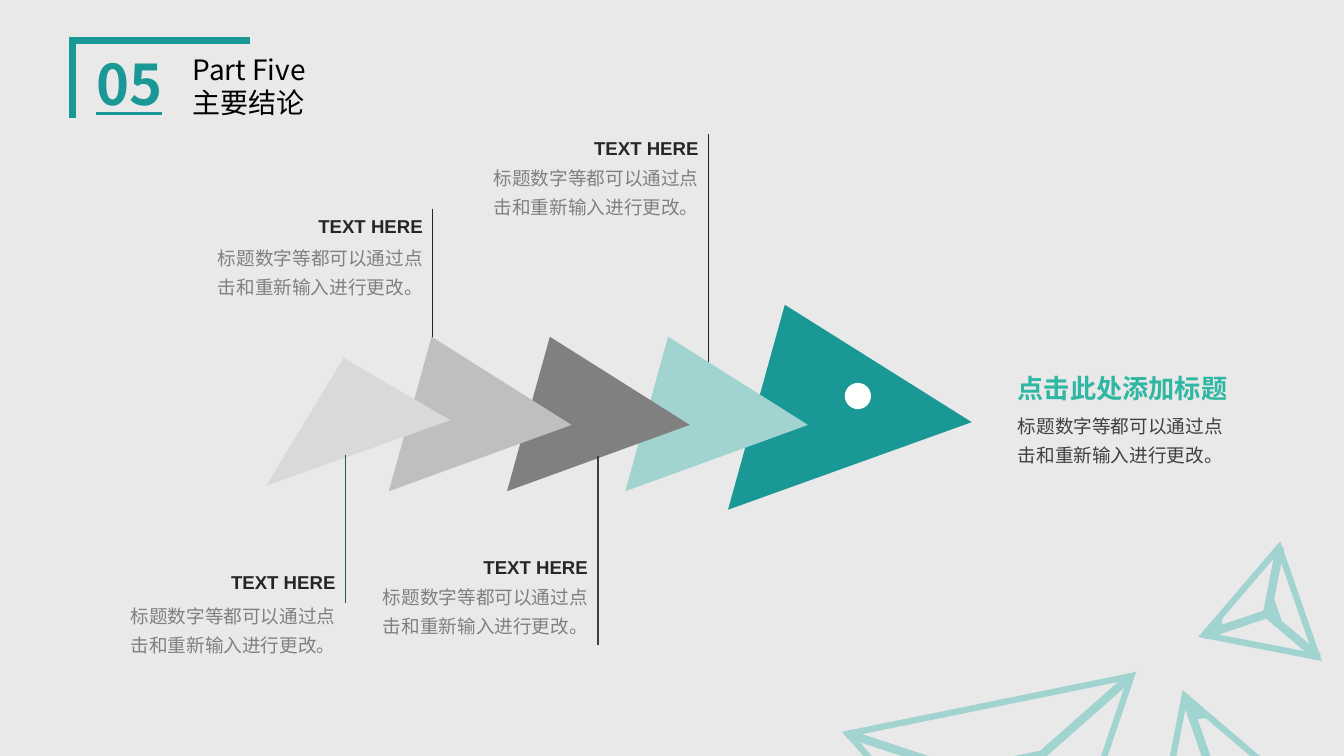
from lxml import etree
from pptx import Presentation, util as u
from pptx.dml import color
from pptx.enum import shapes, text
from pptx.oxml import ns

TEAL, PALE, BACKDROP = "1A9895", "A1D3D0", "E9E9E9"
SANS, LATIN = "Noto Sans CJK SC", "Arial"
BODY = "标题数字等都可以通过点击和重新输入进行更改。"
LEFT, RIGHT = text.PP_ALIGN.LEFT, text.PP_ALIGN.RIGHT


def rgb(value):
    return color.RGBColor.from_string(value)


class Board:
    """Draws styled elements on the current slide, measured in centimetres."""

    def __init__(self, presentation):
        self.slide = presentation.slides.add_slide(presentation.slide_layouts[5])
        self.slide.background.fill.solid()
        self.slide.background.fill.fore_color.rgb = rgb(BACKDROP)

    def paint(self, shape, fill, line, width):
        shape.shadow.inherit = False
        if fill:
            shape.fill.solid()
            shape.fill.fore_color.rgb = rgb(fill)
        else:
            shape.fill.background()
        if line:
            shape.line.color.rgb = rgb(line)
            shape.line.width = u.Pt(width)
            outline = shape._element.spPr.find(ns.qn("a:ln"))
            etree.SubElement(outline, ns.qn("a:miter"), lim="800000")
        else:
            shape.line.fill.background()

    def preset(self, kind, box, fill, line=None, width=1, rotation=0, tip=None):
        shape = self.slide.shapes.add_shape(kind, *map(u.Cm, box))
        shape.rotation = rotation
        if tip is not None:
            shape.adjustments[0] = tip
        self.paint(shape, fill, line, width)

    def triangle(self, box, rotation, fill, **style):
        self.preset(shapes.MSO_SHAPE.ISOSCELES_TRIANGLE, box, fill, rotation=rotation, **style)

    def outline(self, points, fill=None, line=None, width=1):
        corners = [(u.Cm(x), u.Cm(y)) for x, y in points]
        builder = self.slide.shapes.build_freeform(*corners[0])
        builder.add_line_segments(corners[1:], close=bool(fill))
        self.paint(builder.convert_to_shape(), fill, line, width)

    def line(self, start, end, colour, width):
        connector = self.slide.shapes.add_connector(
            shapes.MSO_CONNECTOR.STRAIGHT, *map(u.Cm, (*start, *end)))
        connector.line.color.rgb = rgb(colour)
        connector.line.width = u.Pt(width)
        etree.SubElement(connector._element.spPr, ns.qn("a:effectLst"))

    def fill_text(self, shape, lines, size, colour, font=SANS, align=LEFT,
                  spacing=None, bold=False, underline=False, wrap=True):
        frame = shape.text_frame
        frame.word_wrap = wrap
        frame.auto_size = text.MSO_AUTO_SIZE.NONE
        frame.vertical_anchor = text.MSO_ANCHOR.TOP
        for index, wording in enumerate(lines):
            paragraph = frame.add_paragraph() if index else frame.paragraphs[0]
            paragraph.alignment = align
            if spacing:
                paragraph.line_spacing = spacing
            run = paragraph.add_run()
            run.text = wording
            run.font.size = u.Pt(size)
            run.font.bold = bold
            run.font.underline = underline
            run.font.color.rgb = rgb(colour)
            run.font.name = font
            etree.SubElement(run._r.rPr, ns.qn("a:ea"), typeface=font)

    def text(self, box, wording, size, colour, **style):
        shape = self.slide.shapes.add_textbox(*map(u.Cm, box))
        self.fill_text(shape, [wording], size, colour, **style)

    def title(self, box, lines, size, colour):
        shape = self.slide.shapes.title
        shape.left, shape.top, shape.width, shape.height = map(u.Cm, box)
        self.fill_text(shape, lines, size, colour)

    def callout(self, x, line_top, line_bottom, heading_top, body_top, colour):
        self.line((x, line_top), (x, line_bottom), colour, 0.75)
        self.text((x - 4.17, heading_top, 4.17, 0.84), "TEXT HERE", 13.3, "262626",
                  font=LATIN, align=RIGHT, bold=True)
        self.text((x - 5.94, body_top, 5.94, 1.73), BODY, 13.3, "808080",
                  align=RIGHT, spacing=1.3)


def draw_crystals(board):
    frame = {"line": PALE, "width": 4.5}
    board.triangle((28.52, 17.45, 3.73, 3.2), 340.7, BACKDROP, **frame)
    board.line((29.87, 17.55), (30.56, 19.53), PALE, 6)
    board.outline([(30.12, 18.11), (30.43, 18.08), (30, 17.73)], PALE, PALE)

    board.triangle((21.92, 17.7, 7.29, 6.27), 168.5, BACKDROP, **frame)
    for corner in ((28.5, 17.04), (21.36, 18.49)):
        board.line(corner, (25.36, 19.81), PALE, 6)
    board.triangle((24.33, 19.13, 1.9, 0.58), 168.5, PALE, line=PALE)

    board.triangle((30.07, 14.33, 2.92, 2.51), 250.8, BACKDROP, **frame)
    for corner in ((30.35, 16), (33.22, 16.56), (32.26, 13.79)):
        board.line(corner, (31.93, 15.47), PALE, 6)
    board.triangle((31.7, 15.29, 0.76, 0.23), 250.8, PALE, line=PALE)
    board.outline([(30.78, 15.8), (30.78, 15.57), (30.51, 15.9)], PALE, PALE)


def draw_arrows(board):
    board.triangle((18.95, 8.31, 5.36, 5.33), 105.5, TEAL, tip=0.297)
    for step, fill in enumerate((PALE, "808080", "BFBFBF")):
        board.triangle((16.2 - 2.98 * step, 8.97, 4.04, 3.99), 105.5, fill, tip=0.297)
    board.outline([(8.66, 9.02), (11.35, 10.59), (6.71, 12.24)], "D9D9D9")
    board.preset(shapes.MSO_SHAPE.OVAL, (21.29, 9.65, 0.66, 0.66), "FFFFFF")


def main():
    presentation = Presentation()
    presentation.slide_width, presentation.slide_height = u.Cm(33.87), u.Cm(19.05)
    board = Board(presentation)

    board.outline([(1.83, 2.97), (1.83, 1.02), (6.3, 1.02)], line=TEAL, width=4.5)
    draw_crystals(board)
    board.text((2.18, 1.12, 2.41, 1.96), "05", 40, TEAL, bold=True, underline=True)
    board.title((4.6, 1.19, 6.1, 1.96), ["Part Five", "主要结论"], 20, "000000")

    board.callout(17.86, 3.38, 9.25, 3.33, 3.91, "262626")
    board.callout(10.91, 5.26, 8.99, 5.28, 5.94, "262626")
    draw_arrows(board)
    board.callout(15.07, 11.48, 16.26, 13.89, 14.48, "404040")
    board.callout(8.71, 11.46, 15.19, 14.27, 14.96, "215968")

    board.text((25.4, 10.16, 5.82, 1.73), BODY, 13.3, "404040", spacing=1.3)
    board.text((25.4, 9.25, 5.82, 1.07), "点击此处添加标题", 18.7, "2FB7A3",
               bold=True, wrap=False)
    presentation.save("out.pptx")


if __name__ == "__main__":
    main()
